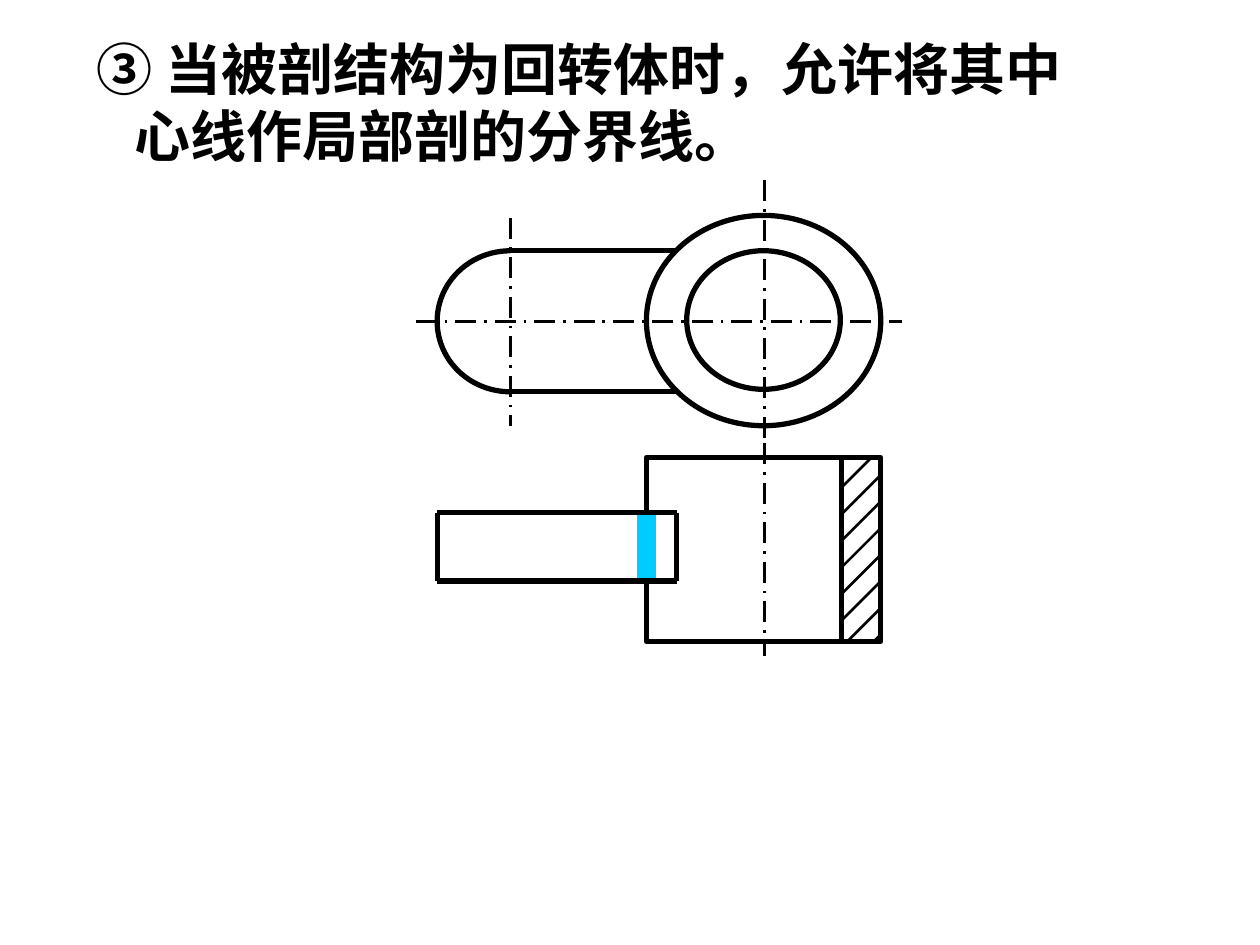
from lxml.etree import SubElement
from pptx import Presentation
from pptx.dml.color import RGBColor
from pptx.enum.dml import MSO_LINE
from pptx.enum.shapes import MSO_CONNECTOR, MSO_SHAPE
from pptx.enum.text import MSO_ANCHOR
from pptx.oxml.ns import qn
from pptx.util import Pt

BLACK = RGBColor(0x00, 0x00, 0x00)
CYAN = RGBColor(0x00, 0xCC, 0xFF)
FONT_NAME = "Noto Sans CJK SC"
OUTLINE, THIN = 3, 1.5

AXIS_X, AXIS_Y, ARM_AXIS_X = 437, 183.6, 291.6
CYLINDER_LEFT, CYLINDER_RIGHT = 369.4, 503.3
CYLINDER_TOP, CYLINDER_BOTTOM = 261.4, 366.5
WALL_X = 481
ARM_LEFT, ARM_RIGHT = 249.8, 386.6
ARM_PLAN_TOP, ARM_PLAN_BOTTOM = 143.3, 223.9
ARM_FRONT_TOP, ARM_FRONT_BOTTOM = 293, 332
HATCH_COUNT, HATCH_START, HATCH_GAP = 8, 759.5, 15.2


def add_title(slide, lines):
    text_box = slide.shapes.add_textbox(Pt(41), Pt(15.8), Pt(679), Pt(84.2))
    frame = text_box.text_frame
    frame.word_wrap = True
    frame.vertical_anchor = MSO_ANCHOR.MIDDLE
    for index, (text, indent) in enumerate(lines):
        paragraph = frame.paragraphs[0] if index == 0 else frame.add_paragraph()
        paragraph.line_spacing = Pt(38.5)
        properties = paragraph._p.get_or_add_pPr()
        properties.set("marL", str(Pt(indent)))
        properties.set("indent", "0")
        run = paragraph.add_run()
        run.text = text
        formats = {"name": FONT_NAME, "size": Pt(32), "bold": True}
        for name, value in formats.items():
            setattr(run.font, name, value)
        run.font.color.rgb = BLACK
        east_asian = SubElement(run._r.get_or_add_rPr(), qn("a:ea"))
        east_asian.set("typeface", FONT_NAME)


def add_outline(slide, kind, left, top, width, height):
    shape = slide.shapes.add_shape(kind, Pt(left), Pt(top), Pt(width), Pt(height))
    shape.shadow.inherit = False
    shape.fill.background()
    shape.line.color.rgb = BLACK
    shape.line.width = Pt(OUTLINE)
    return shape


def add_line(slide, start, end, width=OUTLINE, dash=None):
    points = [Pt(value) for value in (*start, *end)]
    line = slide.shapes.add_connector(MSO_CONNECTOR.STRAIGHT, *points)
    line.line.color.rgb = BLACK
    line.line.width = Pt(width)
    if dash:
        line.line.dash_style = dash
    SubElement(line._element.spPr, qn("a:effectLst"))


def add_center_line(slide, start, end):
    add_line(slide, start, end, THIN, MSO_LINE.LONG_DASH_DOT)


def add_hatching(slide):
    for index in range(HATCH_COUNT):
        total = HATCH_START + index * HATCH_GAP
        left = max(WALL_X, total - CYLINDER_BOTTOM)
        right = min(CYLINDER_RIGHT, total - CYLINDER_TOP)
        add_line(slide, (left, total - left), (right, total - right), THIN)


def add_plan_view(slide):
    add_center_line(slide, (AXIS_X, 103), (AXIS_X, 260.6))
    add_outline(slide, MSO_SHAPE.OVAL, CYLINDER_LEFT, 123.1, 133.9, 120.2)
    add_outline(slide, MSO_SHAPE.OVAL, 392.4, ARM_PLAN_TOP, 87.8, 79.2)
    for y in (ARM_PLAN_TOP, ARM_PLAN_BOTTOM):
        add_line(slide, (ARM_RIGHT, y), (ARM_AXIS_X, y))
    arm_end = add_outline(
        slide, MSO_SHAPE.ARC, ARM_LEFT, ARM_PLAN_TOP,
        2 * (ARM_AXIS_X - ARM_LEFT), ARM_PLAN_BOTTOM - ARM_PLAN_TOP)
    arm_end.adjustments[0] = 54
    arm_end.adjustments[1] = 162
    add_center_line(slide, (ARM_AXIS_X, 124.6), (ARM_AXIS_X, 243.4))
    add_center_line(slide, (237.6, AXIS_Y), (515.5, AXIS_Y))


def add_front_view(slide):
    add_outline(slide, MSO_SHAPE.RECTANGLE, CYLINDER_LEFT, CYLINDER_TOP,
                CYLINDER_RIGHT - CYLINDER_LEFT, CYLINDER_BOTTOM - CYLINDER_TOP)
    add_center_line(slide, (AXIS_X, 253.4), (AXIS_X, 375.1))
    add_line(slide, (WALL_X, CYLINDER_TOP), (WALL_X, CYLINDER_BOTTOM))
    gap = add_outline(slide, MSO_SHAPE.RECTANGLE, 364.3, ARM_FRONT_TOP, 10.1, 38.2)
    gap.fill.solid()
    gap.fill.fore_color.rgb = CYAN
    gap.line.color.rgb = CYAN
    gap.line.width = Pt(0.75)
    for y in (ARM_FRONT_TOP, ARM_FRONT_BOTTOM):
        add_line(slide, (ARM_RIGHT, y), (ARM_LEFT, y))
    for x in (ARM_LEFT, ARM_RIGHT):
        add_line(slide, (x, ARM_FRONT_TOP), (x, ARM_FRONT_BOTTOM))
    add_hatching(slide)


def main():
    presentation = Presentation()
    presentation.slide_width = Pt(720)
    presentation.slide_height = Pt(540)
    slide = presentation.slides.add_slide(presentation.slide_layouts[6])
    add_title(slide, [("③ 当被剖结构为回转体时，允许将其中", 7.2),
                      ("心线作局部剖的分界线。", 28.8)])
    add_plan_view(slide)
    add_front_view(slide)
    presentation.save("out.pptx")


if __name__ == "__main__":
    main()
